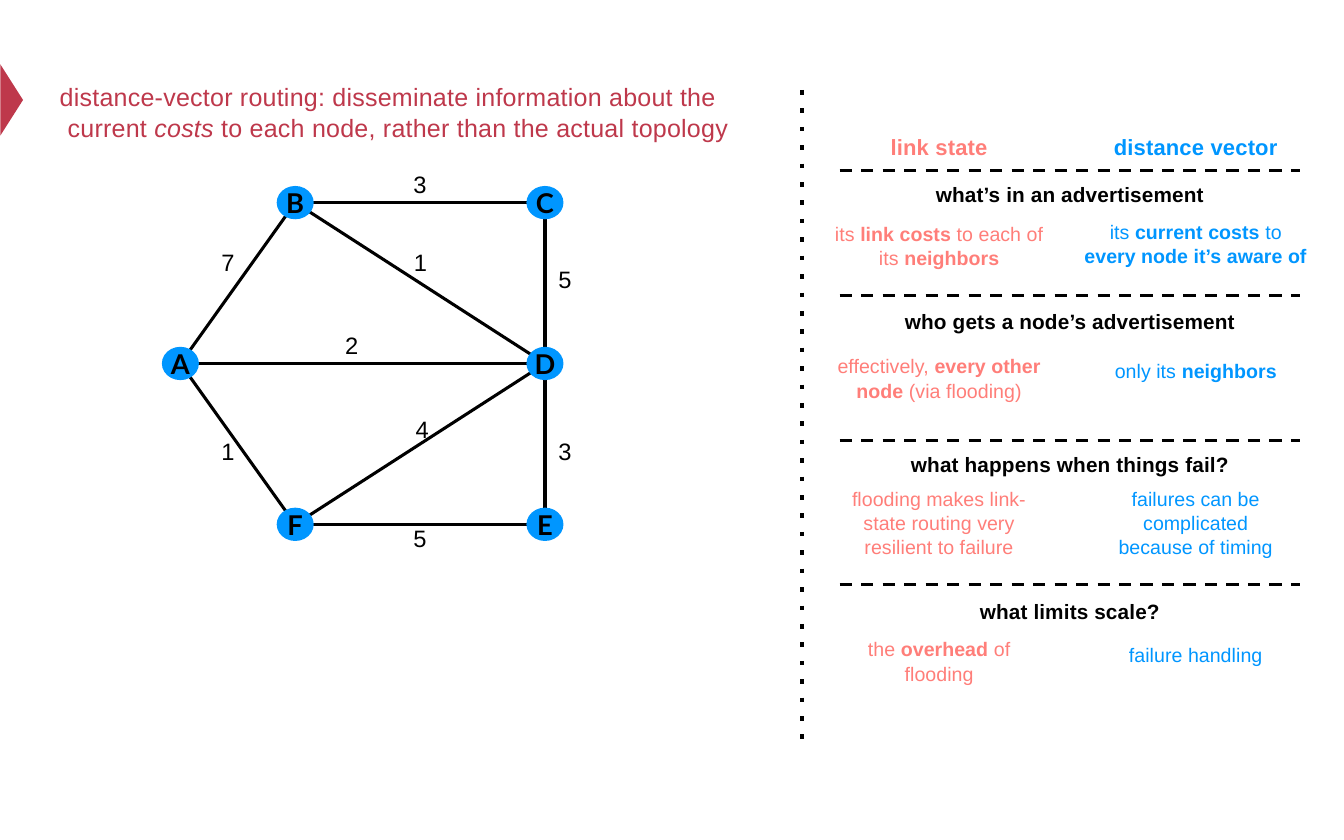
import pptx
import pptx.util
import pptx.dml.color
import pptx.enum.shapes
import pptx.enum.text
import pptx.oxml.ns
from lxml import etree
from pptx.util import Cm

BLACK, RED, PINK, BLUE = "000000", "BE384B", "FF7E79", "0096FF"
LEFT_X, MIDDLE_X, RIGHT_X = 17.75, 20.22, 22.6

# Node centres and weighted edges (end, end, weight, label centre), in cm
NODES = {"A": (3.41, 6.87), "B": (5.58, 3.83), "C": (10.3, 3.83),
         "D": (10.3, 6.87), "E": (10.3, 9.91), "F": (5.58, 9.91)}
EDGES = [("A", "B", "7", 4.31, 4.95), ("B", "C", "3", 7.94, 3.48),
         ("B", "D", "1", 7.95, 4.95), ("C", "D", "5", 10.68, 5.27),
         ("A", "D", "2", 6.65, 6.52), ("D", "F", "4", 7.98, 8.1),
         ("A", "F", "1", 4.31, 8.52), ("F", "E", "5", 7.94, 10.17),
         ("D", "E", "3", 10.68, 8.52)]

# Rule y, heading, heading y, then text and centre y for each column;
# asterisks enclose emphasised words
SECTIONS = [
    (3.22, "what’s in an advertisement", 3.67,
     "its *link costs* to each of\nits *neighbors*", 4.63,
     "its *current costs* to\n*every node it’s aware of*", 4.6),
    (5.59, "who gets a node’s advertisement", 6.07,
     "effectively, *every other*\n*node* (via flooding)", 7.14,
     "only its *neighbors*", 7.01),
    (8.33, "what happens when things fail?", 8.77,
     "flooding makes link-\nstate routing very\nresilient to failure", 9.87,
     "failures can be\ncomplicated\nbecause of timing", 9.87),
    (11.05, "what limits scale?", 11.55,
     "the *overhead* of\nflooding", 12.49,
     "failure handling", 12.38),
]


def color(value):
    return pptx.dml.color.RGBColor.from_string(value)


def write(shape, text, size, ink, font="Arial", bold=False, emphasis="bold",
          spacing=0.0, align="CENTER"):
    """Fill a shape with middle-anchored text and return its paragraph."""
    frame = shape.text_frame
    frame.word_wrap = True
    frame.vertical_anchor = pptx.enum.text.MSO_ANCHOR.MIDDLE
    frame.margin_left = frame.margin_right = 0
    frame.margin_top = frame.margin_bottom = 0
    para = frame.paragraphs[0]
    para.alignment = getattr(pptx.enum.text.PP_ALIGN, align)
    for number, line in enumerate(text.split("\n")):
        if number:
            para.add_line_break()
            para.line_spacing = 1.04
        for index, part in enumerate(line.split("*")):
            if not part:
                continue
            span = para.add_run()
            span.text = part
            span.font.name = font
            span.font.size = pptx.util.Pt(size)
            span.font.color.rgb = color(ink)
            span.font.bold = bold
            if index % 2:
                setattr(span.font, emphasis, True)
            if spacing:
                span._r.get_or_add_rPr().set("spc", str(round(spacing * 100)))
    return para


def add_label(page, x, y, width, height, text, size, ink, **style):
    """Add a text box centred on a point."""
    box = page.shapes.add_textbox(Cm(x - width / 2), Cm(y - height / 2),
                                  Cm(width), Cm(height))
    return write(box, text, size, ink, **style)


def add_filled(page, kind, x, y, width, height, fill):
    """Add a borderless preset shape centred on a point."""
    shape = page.shapes.add_shape(kind, Cm(x - width / 2), Cm(y - height / 2),
                                  Cm(width), Cm(height))
    shape.shadow.inherit = False
    shape.fill.solid()
    shape.fill.fore_color.rgb = color(fill)
    shape.line.fill.background()
    return shape


def add_line(page, start, end, weight=1.65, dash=None):
    line = page.shapes.add_connector(
        pptx.enum.shapes.MSO_CONNECTOR.STRAIGHT,
        Cm(start[0]), Cm(start[1]), Cm(end[0]), Cm(end[1]))
    line.line.width = pptx.util.Pt(weight)
    line.line.color.rgb = color(BLACK)
    qn = pptx.oxml.ns.qn
    properties = line._element.spPr
    if dash:
        outline = properties.find(qn("a:ln"))
        etree.SubElement(outline, qn("a:prstDash")).set("val", dash)
    etree.SubElement(properties, qn("a:effectLst"))


def add_title(page):
    marker = add_filled(page, pptx.enum.shapes.MSO_SHAPE.ISOSCELES_TRIANGLE,
                        0.22, 1.89, 1.35, 0.43, RED)
    marker.rotation = 90
    para = add_label(
        page, 7.62, 2.1, 13, 1.2,
        "distance-vector routing: disseminate information about the\n"
        "current *costs* to each node, rather than the actual topology",
        13.4, RED, emphasis="italic", spacing=0.1, align="LEFT")
    # Hanging first line
    para._p.get_or_add_pPr().set("marL", str(Cm(0.16)))
    para._p.get_or_add_pPr().set("indent", str(-Cm(0.15)))


def add_graph(page):
    for start, end, weight, x, y in EDGES:
        add_line(page, NODES[start], NODES[end])
        add_label(page, x, y, 0.5, 0.56, weight, 12.7, BLACK)
    for name, (x, y) in NODES.items():
        node = add_filled(page, pptx.enum.shapes.MSO_SHAPE.OVAL,
                          x, y, 0.7, 0.63, BLUE)
        write(node, name, 14.6, BLACK, font="Lato", bold=True)


def add_comparison(page):
    # Divider and column headings
    add_line(page, (15.16, 1.7), (15.16, 14.13), 2.47, "dot")
    for x, name, ink in ((LEFT_X, "link state", PINK),
                         (RIGHT_X, "distance vector", BLUE)):
        add_label(page, x, 2.78, 4.4, 0.5, name, 11.8, ink,
                  bold=True, spacing=0.1)
    # Sections
    for rule_y, heading, heading_y, left, left_y, right, right_y in SECTIONS:
        add_line(page, (15.87, rule_y), (24.57, rule_y), dash="dash")
        add_label(page, MIDDLE_X, heading_y, 7.5, 0.5, heading, 11.1, BLACK,
                  bold=True, spacing=0.07)
        for x, y, text, ink in ((LEFT_X, left_y, left, PINK),
                                (RIGHT_X, right_y, right, BLUE)):
            height = 0.45 * (text.count("\n") + 1)
            add_label(page, x, y, 4.6, height, text, 10.5, ink, spacing=0.05)


def main():
    deck = pptx.Presentation()
    deck.slide_width, deck.slide_height = Cm(25.4), Cm(15.875)
    page = deck.slides.add_slide(deck.slide_layouts[6])
    add_title(page)
    add_graph(page)
    add_comparison(page)
    deck.save("out.pptx")


if __name__ == "__main__":
    main()
